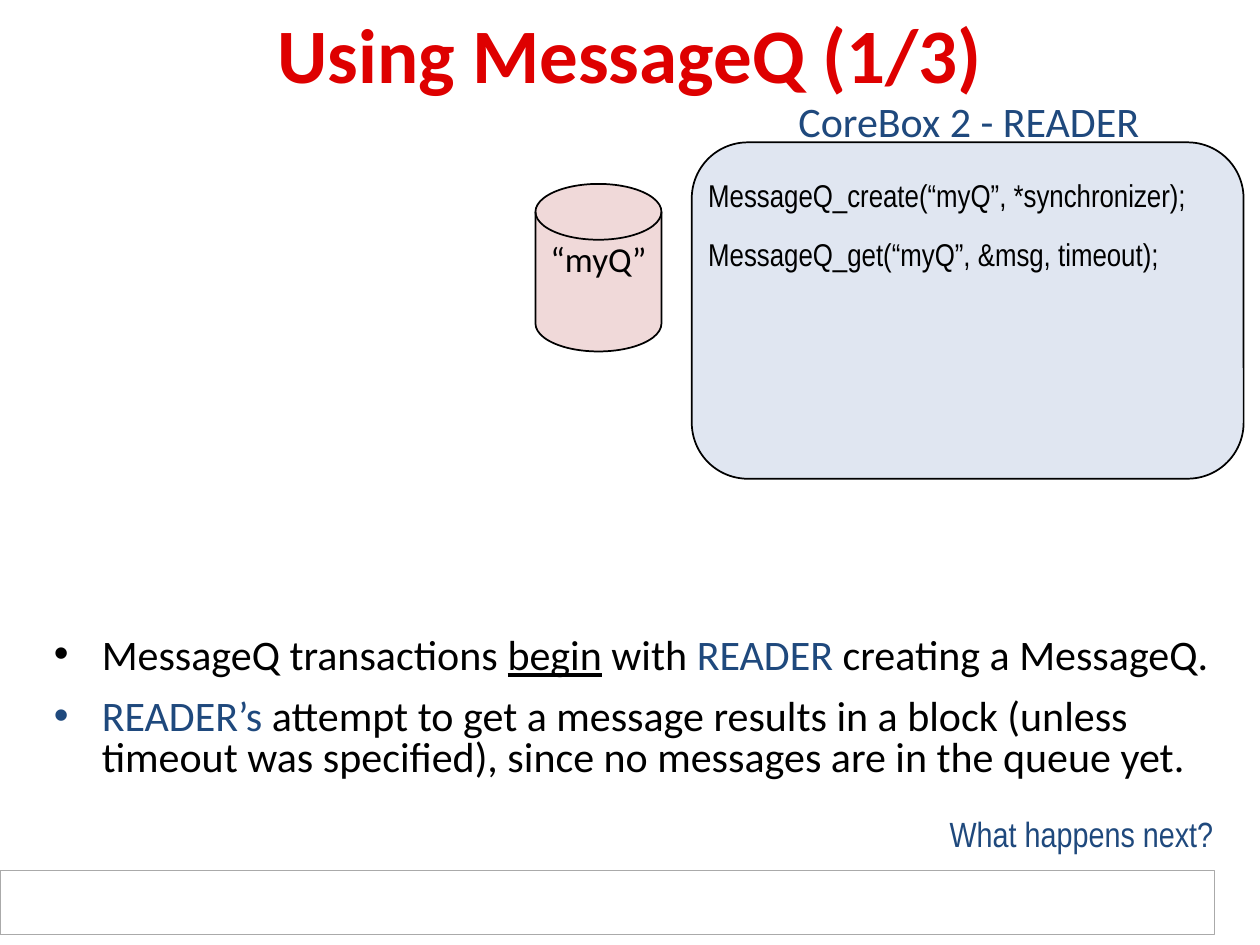
from dataclasses import dataclass

from lxml import etree
from pptx import Presentation
from pptx.dml.color import RGBColor
from pptx.enum import shapes, text
from pptx.oxml import ns
from pptx.util import Inches, Pt

BLACK = RGBColor(0x00, 0x00, 0x00)
WHITE = RGBColor(0xFF, 0xFF, 0xFF)
RED = RGBColor(0xDE, 0x00, 0x00)
NAVY = RGBColor(0x1F, 0x49, 0x7D)
GREY = RGBColor(0xAA, 0xAA, 0xAA)
PALE = RGBColor(0xE0, 0xE6, 0xF1)
PINK = RGBColor(0xF0, 0xD9, 0xD9)

KIND = shapes.MSO_SHAPE
ALIGN = text.PP_ALIGN
ANCHOR = text.MSO_ANCHOR
SANS, NARROW = "Calibri", "Arial Narrow"
PAD = (0.1, 0.05, 0.1, 0.05)


@dataclass
class Box:
    left: float
    top: float
    width: float
    height: float

    def lengths(self) -> list:
        return [Inches(n) for n in (self.left, self.top, self.width, self.height)]


@dataclass
class Run:
    words: str
    color: RGBColor = BLACK
    under: bool = False


@dataclass
class Style:
    size: int
    font: str = SANS
    color: RGBColor = BLACK
    bold: bool = False
    align: ALIGN = ALIGN.LEFT
    anchor: ANCHOR = ANCHOR.MIDDLE
    pad: tuple = PAD
    line: float = 1.0
    gap: int = 0
    wrap: bool = False
    bullet: bool = False


def add_bullet(para) -> None:
    props = para._p.get_or_add_pPr()
    props.set("marL", str(Inches(0.38)))
    props.set("indent", str(-Inches(0.38)))
    etree.SubElement(props, ns.qn("a:buFont"), typeface="Arial")
    etree.SubElement(props, ns.qn("a:buChar"), char="•")


def write(frame, lines: list, style: Style) -> None:
    """Fill a frame with lines, each a string or a list of runs."""
    frame.word_wrap = style.wrap
    frame.vertical_anchor = style.anchor
    (frame.margin_left, frame.margin_top,
     frame.margin_right, frame.margin_bottom) = map(Inches, style.pad)
    for i, line in enumerate(lines):
        para = frame.add_paragraph() if i else frame.paragraphs[0]
        para.alignment = style.align
        para.line_spacing = style.line
        if i:
            para.space_before = Pt(style.gap)
        if style.bullet:
            add_bullet(para)
        para.font.size = Pt(style.size)
        para.font.name = style.font
        para.font.bold = style.bold
        para.font.color.rgb = style.color
        if isinstance(line, str):
            para.add_run().text = line
            continue
        for part in line:
            # Line breaks inside a paragraph split its runs
            for j, piece in enumerate(part.words.split("\n")):
                if j:
                    para.add_line_break()
                run = para.add_run()
                run.text = piece
                run.font.color.rgb = part.color
                if part.under:
                    run.font.underline = True


def add_text(slide, box: Box, lines: list, style: Style) -> None:
    write(slide.shapes.add_textbox(*box.lengths()).text_frame, lines, style)


def add_block(slide, kind: KIND, box: Box, fill: RGBColor,
              edge: RGBColor = BLACK, width: float = 1):
    shape = slide.shapes.add_shape(kind, *box.lengths())
    shape.shadow.inherit = False
    shape.fill.solid()
    shape.fill.fore_color.rgb = fill
    shape.line.color.rgb = edge
    shape.line.width = Pt(width)
    return shape


def main() -> None:
    deck = Presentation()
    deck.slide_width, deck.slide_height = Inches(10), Inches(7.5)
    slide = deck.slides.add_slide(deck.slide_layouts[6])

    # Footer bar and title
    add_block(slide, KIND.RECTANGLE, Box(0, 6.91, 9.64, 0.51), WHITE, GREY, 0.75)
    add_text(slide, Box(0.5, 0, 9, 0.83), ["Using MessageQ (1/3)"],
             Style(44, color=RED, bold=True, align=ALIGN.CENTER))

    # Reader core with its calls
    core = add_block(slide, KIND.ROUNDED_RECTANGLE,
                     Box(5.49, 1.13, 4.38, 2.67), PALE)
    calls = ["MessageQ_create(“myQ”, *synchronizer);",
             "MessageQ_get(“myQ”, &msg, timeout);"]
    write(core.text_frame, calls,
          Style(18, NARROW, anchor=ANCHOR.TOP, pad=(0, 0.14, 0.05, 0.05),
                gap=12, wrap=True))
    add_text(slide, Box(6.19, 0.71, 2.95, 0.5), ["CoreBox 2 - READER"],
             Style(24, color=NAVY, align=ALIGN.RIGHT))

    # Explanation
    notes = [
        [Run("MessageQ transactions "), Run("begin", under=True), Run(" with "),
         Run("READER", NAVY), Run(" creating a MessageQ.")],
        [Run("READER’s", NAVY),
         Run(" attempt to get a message results in a block (unless\n"
             "timeout was specified), since no messages are in the queue yet.")],
    ]
    add_text(slide, Box(0.33, 5.01, 9.47, 1.24), notes,
             Style(24, line=0.8, gap=12, bullet=True))

    # Message queue
    queue = add_block(slide, KIND.FLOWCHART_MAGNETIC_DISK,
                      Box(4.25, 1.46, 1, 1.33), PINK)
    write(queue.text_frame, ["“myQ”"],
          Style(20, align=ALIGN.CENTER, anchor=ANCHOR.TOP, line=0.8, wrap=True))

    # Closing question
    add_text(slide, Box(7.52, 6.51, 2.11, 0.27), ["What happens next?"],
             Style(20, NARROW, NAVY, align=ALIGN.RIGHT, anchor=ANCHOR.BOTTOM,
                   pad=(0, 0, 0, 0), line=0.8))

    deck.save("out.pptx")


if __name__ == "__main__":
    main()
